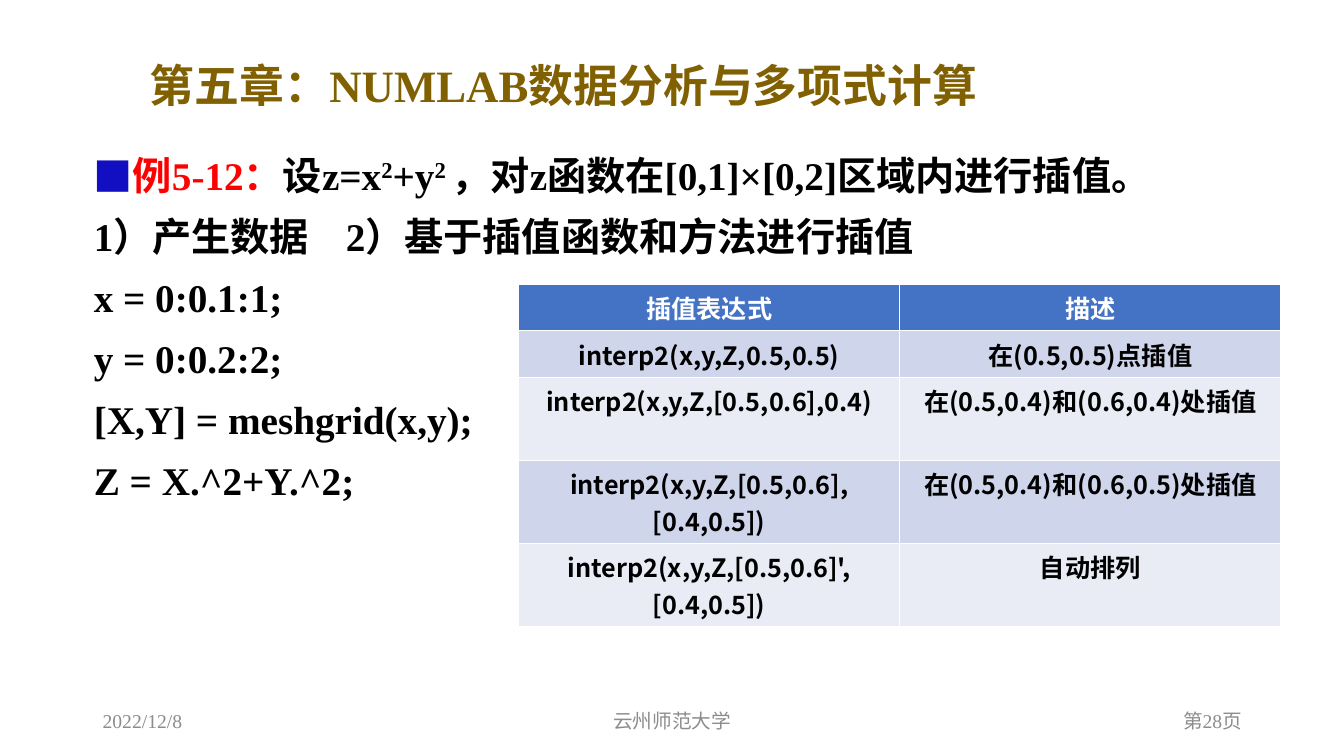
import pptx
import pptx.dml.color
import pptx.enum.text
import pptx.oxml
import pptx.oxml.ns
import pptx.util
from dataclasses import dataclass

Pt = pptx.util.Pt
ALIGN = pptx.enum.text.PP_ALIGN
ANCHOR = pptx.enum.text.MSO_ANCHOR
WIDTH, HEIGHT = pptx.util.Inches(13.33), pptx.util.Inches(7.5)


@dataclass(frozen=True)
class Theme:
    cjk: str = "Noto Sans CJK SC"
    latin: str = "Times New Roman"
    title: str = "806000"
    text: str = "000000"
    accent: str = "FF0000"
    bullet: str = "120EC2"
    muted: str = "8C8C8C"
    white: str = "FFFFFF"
    header: str = "4472C4"
    bands: tuple = ("CFD5EA", "E9EBF5")
    title_size: int = 32
    body_size: int = 28
    table_size: int = 18
    footer_size: int = 14


THEME = Theme()

EXAMPLE = [
    ("例5-12：", THEME.accent, 0),
    ("设z=x", THEME.text, 0),
    ("2", THEME.text, 30),
    ("+y", THEME.text, 0),
    ("2 ", THEME.text, 30),
    ("，对z函数在[0,1]×[0,2]区域内进行插值。", THEME.text, 0),
]
STEPS = [
    "1）产生数据\t2）基于插值函数和方法进行插值",
    "x = 0:0.1:1;",
    "y = 0:0.2:2;",
    "[X,Y] = meshgrid(x,y);",
    "Z = X.^2+Y.^2;",
]
INTERPOLATIONS = [
    ("插值表达式", "描述"),
    ("interp2(x,y,Z,0.5,0.5)", "在(0.5,0.5)点插值"),
    ("interp2(x,y,Z,[0.5,0.6],0.4)", "在(0.5,0.4)和(0.6,0.4)处插值"),
    ("interp2(x,y,Z,[0.5,0.6],[0.4,0.5])", "在(0.5,0.4)和(0.6,0.5)处插值"),
    ("interp2(x,y,Z,[0.5,0.6]',[0.4,0.5])", "自动排列"),
]


def share(left, top, width, height):
    """Turn shares of the slide's size into a box in EMU."""
    return (round(left * WIDTH), round(top * HEIGHT),
            round(width * WIDTH), round(height * HEIGHT))


def set_attrs(obj, **values):
    for name, value in values.items():
        setattr(obj, name, value)


def add_xml(parent, tag, **attrs):
    child = pptx.oxml.parse_xml(f"<a:{tag} {pptx.oxml.ns.nsdecls('a')}/>")
    for name, value in attrs.items():
        child.set(name, str(value))
    parent.append(child)
    return child


def add_run(p, text, size, color, bold=True, latin=THEME.latin, raised=0):
    r = p.add_run()
    r.text = text
    set_attrs(r.font, size=Pt(size), bold=bold, name=latin)
    r.font.color.rgb = pptx.dml.color.RGBColor.from_string(color)
    rPr = r._r.get_or_add_rPr()
    add_xml(rPr, "ea", typeface=THEME.cjk)
    if raised:
        rPr.set("baseline", str(raised * 1000))


def place(sp, box, anchor):
    """Position a text shape and return its wrapping text frame."""
    set_attrs(sp, **dict(zip(("left", "top", "width", "height"), box)))
    set_attrs(sp.text_frame, word_wrap=True, vertical_anchor=anchor,
              auto_size=pptx.enum.text.MSO_AUTO_SIZE.NONE)
    return sp.text_frame


def fill_title(s, text):
    tf = place(s.shapes.title, share(0.104, 0.077, 0.641, 0.079), ANCHOR.MIDDLE)
    p = tf.paragraphs[0]
    set_attrs(p, alignment=ALIGN.LEFT, line_spacing=0.9)
    add_run(p, text, THEME.title_size, THEME.title)


def format_line(p, bulleted):
    set_attrs(p, space_before=Pt(10), line_spacing=Pt(33.6))
    pPr = p._p.get_or_add_pPr()
    pPr.set("marL", str(pptx.util.Inches(0.25)))
    pPr.set("indent", "0")
    if bulleted:
        add_xml(add_xml(pPr, "buClr"), "srgbClr", val=THEME.bullet)
        add_xml(pPr, "buFont", typeface=THEME.cjk)
        add_xml(pPr, "buChar", char="■")
    else:
        add_xml(pPr, "buNone")
        add_xml(add_xml(pPr, "tabLst"), "tab",
                pos=pptx.util.Inches(4.52), algn="l")


def fill_body(s):
    tf = place(s.placeholders[1], share(0.0435, 0.193, 0.911, 0.713), ANCHOR.TOP)
    p = tf.paragraphs[0]
    format_line(p, bulleted=True)
    for text, color, raised in EXAMPLE:
        add_run(p, text, THEME.body_size, color, raised=raised)
    for text in STEPS:
        p = tf.add_paragraph()
        format_line(p, bulleted=False)
        add_run(p, text, THEME.body_size, THEME.text)


def add_table(s, rows):
    box = share(0.386, 0.376, 0.567, 0.22)
    table = s.shapes.add_table(len(rows), len(rows[0]), *box).table
    for i, row in enumerate(rows):
        fill = THEME.bands[(i - 1) % 2] if i else THEME.header
        color = THEME.text if i else THEME.white
        for j, text in enumerate(row):
            cell = table.cell(i, j)
            cell.fill.solid()
            cell.fill.fore_color.rgb = pptx.dml.color.RGBColor.from_string(fill)
            p = cell.text_frame.paragraphs[0]
            p.alignment = ALIGN.CENTER
            add_run(p, text, THEME.table_size, color, latin=THEME.cjk)


def add_footer(s, text, left, width, alignment):
    box = share(left, 0.927, width, 0.053)
    tf = place(s.shapes.add_textbox(*box), box, ANCHOR.MIDDLE)
    p = tf.paragraphs[0]
    p.alignment = alignment
    add_run(p, text, THEME.footer_size, THEME.muted, bold=False)


def main():
    prs = pptx.Presentation()
    set_attrs(prs, slide_width=WIDTH, slide_height=HEIGHT)
    s = prs.slides.add_slide(prs.slide_layouts[1])
    fill_title(s, "第五章：NUMLAB数据分析与多项式计算")
    fill_body(s)
    add_footer(s, "2022/12/8", 0.069, 0.225, ALIGN.LEFT)
    add_footer(s, "云州师范大学", 0.3315, 0.3375, ALIGN.CENTER)
    add_footer(s, "第28页", 0.7065, 0.225, ALIGN.RIGHT)
    add_table(s, INTERPOLATIONS)
    prs.save("out.pptx")


if __name__ == "__main__":
    main()
